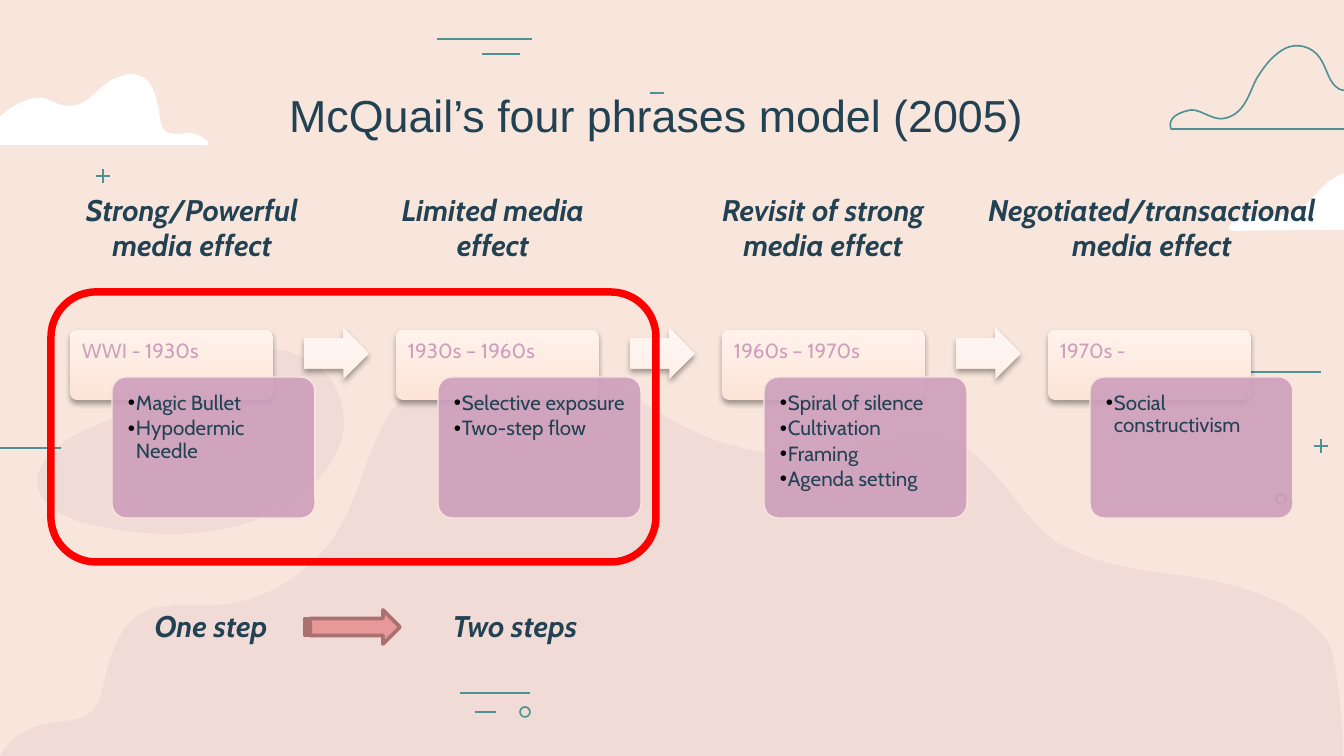
from dataclasses import dataclass

from lxml.etree import SubElement
from pptx import Presentation
from pptx.dml.color import RGBColor
from pptx.enum.shapes import MSO_CONNECTOR, MSO_SHAPE
from pptx.enum.text import MSO_ANCHOR, PP_ALIGN
from pptx.oxml.ns import qn
from pptx.util import Emu, Pt


@dataclass(frozen=True)
class Theme:
    paper: str = "F8E6DC"
    mauve: str = "CE9FBC"
    teal: str = "509195"
    ink: str = "224253"
    white: str = "FFFFFF"
    bullet: str = "000000"
    frame: str = "FF0000"
    step: str = "E79898"
    step_edge: str = "AB7070"
    card: tuple = ("FCE5D8", "FFF2EB")
    arrow: tuple = ("FDF0E8", "FFF7F3")
    body_font: str = "Cabin"
    title_font: str = "Arial"
    title_size: int = 24
    label_size: int = 16
    card_size: int = 11
    thin: float = 0.88
    thick: float = 1.32


T = Theme()
EMU_PER_PX = 914400 / 134.4
PITCH = 326

HILL = [(512, 345), (468, 345, 422, 370, 396, 405), (366, 444, 362, 495, 335, 535),
        (309, 575, 263, 603, 215, 605), (185, 605), (169, 605, 153, 606, 140, 614),
        (109, 634, 106, 683, 99, 700), (87, 737, 30, 704, 0, 756), (1343, 756),
        (1344, 731, 1336, 653, 1329, 644), (1304, 603, 1242, 586, 1199, 578),
        (1152, 570, 1107, 570, 1056, 542), (1015, 511, 992, 452, 945, 438),
        (938, 435, 930, 435, 922, 435), (895, 435, 868, 445, 841, 450),
        (827, 453, 812, 454, 796, 454), (759, 454, 724, 446, 691, 430),
        (638, 406, 594, 359, 536, 348), (528, 347, 520, 345, 512, 345)]
BLOB = [(259, 348), (247, 348, 234, 349, 219, 353), (187, 364, 167, 388, 138, 406),
        (117, 418, 91, 426, 70, 438), (48, 452, 31, 472, 39, 492),
        (47, 512, 77, 523, 103, 527), (124, 531, 145, 534, 168, 534),
        (199, 534, 230, 530, 258, 519), (297, 504, 328, 476, 340, 445),
        (347, 425, 344, 405, 336, 388), (323, 364, 296, 348, 259, 348)]
RIGHT_CLOUD = [(1344, 173), (1331, 179, 1324, 185, 1316, 194),
               (1310, 200, 1304, 208, 1294, 212), (1289, 215, 1281, 216, 1273, 216),
               (1253, 216), (1240, 216, 1215, 231, 1238, 231),
               (1273, 230, 1305, 230, 1337, 230), (1344, 230)]
LEFT_CLOUD = [(130, 74), (126, 74, 124, 75, 120, 77), (110, 79, 102, 87, 94, 94),
              (87, 101, 79, 106, 70, 106), (66, 106), (59, 105, 52, 101, 44, 98),
              (38, 98), (26, 98, 13, 106, 3, 114), (-8, 125, -19, 130, -34, 134),
              (-39, 137, -50, 138, -62, 138), (-67, 138, -74, 138, -81, 137),
              (-90, 134, -95, 129, -106, 129), (-121, 129, -129, 137, -137, 145),
              (206, 145), (214, 145, 202, 133, 188, 133), (179, 134),
              (175, 134, 171, 133, 168, 133), (160, 129, 160, 118, 159, 109),
              (156, 99, 155, 90, 149, 82), (144, 77, 137, 74, 130, 74)]
LINE_CLOUD = [(1434, 129), (1434, 117, 1411, 121, 1399, 121),
              (1395, 121, 1388, 121, 1387, 116), (1384, 110, 1387, 105, 1387, 98),
              (1386, 86, 1374, 83, 1364, 85), (1356, 87, 1347, 93, 1339, 89),
              (1328, 82, 1328, 70, 1320, 58), (1312, 46, 1297, 43, 1286, 48),
              (1274, 54, 1265, 65, 1257, 78), (1250, 90, 1246, 113, 1226, 118),
              (1214, 122, 1201, 109, 1191, 110), (1180, 112, 1167, 117, 1171, 129)]
DASHES = [(437, 39, 95), (482, 54, 38), (0, 448, 61), (1251, 372, 70),
          (460, 693, 70), (475, 712, 21)]
PHASES = [("WWI - 1930s", ["Magic Bullet", "Hypodermic Needle"]),
          ("1930s – 1960s", ["Selective exposure", "Two-step flow"]),
          ("1960s – 1970s", ["Spiral of silence", "Cultivation", "Framing",
                             "Agenda setting"]),
          ("1970s -", ["Social constructivism"])]
LABELS = [("Strong/Powerful media effect", 51, 194, 282),
          ("Limited media effect", 352, 194, 282),
          ("Revisit of strong media effect", 682, 194, 282),
          ("Negotiated/transactional media effect", 964, 194, 376),
          ("One step", 70, 575, 282), ("Two steps", 374, 575, 282)]


def px(n):
    return Emu(round(n * EMU_PER_PX))


def assign(obj, values):
    for name, value in values.items():
        setattr(obj, name, value)


def paint(shape, fill=None, alpha=100, line=None, width=0.75):
    shape.shadow.inherit = False
    if isinstance(fill, tuple):
        shape.fill.gradient()
        shape.fill.gradient_angle = 90
        for stop, color in zip(shape.fill.gradient_stops, fill):
            stop.color.rgb = RGBColor.from_string(color)
    elif fill:
        shape.fill.solid()
        shape.fill.fore_color.rgb = RGBColor.from_string(fill)
        if alpha < 100:
            clr = shape._element.spPr.find(qn("a:solidFill"))[0]
            SubElement(clr, qn("a:alpha"), val=str(alpha * 1000))
    else:
        shape.fill.background()
    if line:
        shape.line.color.rgb = RGBColor.from_string(line)
        shape.line.width = Pt(width)
    else:
        shape.line.fill.background()


def add_preset(s, kind, box, adjustments=(), **style):
    shape = s.shapes.add_shape(kind, *map(px, box))
    for i, value in enumerate(adjustments):
        shape.adjustments[i] = value
    paint(shape, **style)
    return shape


def add_shadow(shape):
    effects = shape._element.spPr.find(qn("a:effectLst"))
    shadow = SubElement(effects, qn("a:outerShdw"), blurRad=str(Pt(3.1)),
                        dist=str(Pt(1.8)), dir="5400000", rotWithShape="0")
    clr = SubElement(shadow, qn("a:srgbClr"), val="000000")
    SubElement(clr, qn("a:alpha"), val="35000")


def add_outline(s, segments, **style):
    anchors = [tuple(map(px, seg[-2:])) for seg in segments]
    builder = s.shapes.build_freeform(*anchors[0], scale=1.0)
    builder.add_line_segments(anchors[1:], close=True)
    shape = builder.convert_to_shape()
    lines = list(shape._element.spPr.iter(qn("a:lnTo")))
    for line, seg in zip(lines, segments[1:]):
        if len(seg) == 6:
            curve = SubElement(line.getparent(), qn("a:cubicBezTo"))
            for x, y in zip(seg[::2], seg[1::2]):
                SubElement(curve, qn("a:pt"), x=str(px(x) - shape.left),
                           y=str(px(y) - shape.top))
            line.getparent().replace(line, curve)
    paint(shape, **style)


def add_stroke(s, x1, y1, x2, y2, width):
    line = s.shapes.add_connector(MSO_CONNECTOR.STRAIGHT, *map(px, (x1, y1, x2, y2)))
    line.line.color.rgb = RGBColor.from_string(T.teal)
    line.line.width = Pt(width)
    SubElement(line._element.spPr, qn("a:effectLst"))


def add_plus(s, x, y):
    add_stroke(s, x, y - 7, x, y + 7, T.thin)
    add_stroke(s, x - 7, y, x + 7, y, T.thin)


def add_bullet(p):
    pPr = p._p.get_or_add_pPr()
    pPr.set("marL", str(px(8)))
    pPr.set("indent", str(px(-8)))
    clr = SubElement(pPr, qn("a:buClr"))
    SubElement(clr, qn("a:srgbClr"), val=T.bullet)
    SubElement(pPr, qn("a:buFont"), typeface=T.title_font)
    SubElement(pPr, qn("a:buChar"), char="•")


def add_text(s, lines, box, inset, font, color, para, anchor=MSO_ANCHOR.TOP, bullets=False):
    tf = s.shapes.add_textbox(*map(px, box)).text_frame
    assign(tf, {"word_wrap": True, "vertical_anchor": anchor})
    assign(tf, {f"margin_{side}": px(inset) for side in ("left", "right", "top", "bottom")})
    for i, text in enumerate(lines):
        p = tf.paragraphs[0] if i == 0 else tf.add_paragraph()
        if bullets:
            add_bullet(p)
        assign(p, para)
        r = p.add_run()
        r.text = text
        assign(r.font, font)
        r.font.color.rgb = RGBColor.from_string(color)


def add_label(s, text, box, font, anchor=MSO_ANCHOR.BOTTOM):
    add_text(s, [text], box, 13, font, T.ink, {"alignment": PP_ALIGN.CENTER}, anchor)


def add_scenery(s):
    for segments in (HILL, BLOB):
        add_outline(s, segments, fill=T.mauve, alpha=15)
    for segments in (RIGHT_CLOUD, LEFT_CLOUD):
        add_outline(s, segments, fill=T.white)
    add_outline(s, LINE_CLOUD, line=T.teal, width=T.thin)
    for x, y in ((1276, 494), (520, 707)):
        add_preset(s, MSO_SHAPE.OVAL, (x, y, 10, 10), line=T.teal, width=T.thin)
    for x, y, length in DASHES:
        add_stroke(s, x, y, x + length, y, T.thick)
    add_stroke(s, 650, 93, 664, 93, T.thin)
    for x, y in ((1321, 446), (103, 176)):
        add_plus(s, x, y)


def add_phase(s, i, period, theories):
    x = 70 + i * PITCH
    font = {"name": T.body_font, "size": Pt(T.card_size)}
    para = {"line_spacing": 0.9}
    head = add_preset(s, MSO_SHAPE.ROUNDED_RECTANGLE, (x, 330, 203, 70), [0.1], fill=T.card)
    add_shadow(head)
    add_text(s, [period], (x, 330, 203, 47), 12, font, T.mauve, para)
    add_preset(s, MSO_SHAPE.ROUNDED_RECTANGLE, (x + 42, 377, 203, 141), [0.1],
               fill=T.mauve, alpha=90, line=T.paper)
    add_text(s, theories, (x + 46, 381, 195, 133), 12, font, T.ink,
             {**para, "level": 1, "space_after": Pt(1.65)}, bullets=True)
    if i < len(PHASES) - 1:
        arrow = add_preset(s, MSO_SHAPE.RIGHT_ARROW, (x + 234, 328, 65, 51), [0.6, 0.5],
                           fill=T.arrow)
        add_shadow(arrow)


def main():
    prs = Presentation()
    assign(prs, {"slide_width": px(1344), "slide_height": px(756)})
    s = prs.slides.add_slide(prs.slide_layouts[6])
    s.background.fill.solid()
    s.background.fill.fore_color.rgb = RGBColor.from_string(T.paper)
    add_scenery(s)
    for i, (period, theories) in enumerate(PHASES):
        add_phase(s, i, period, theories)
    label_font = {"name": T.body_font, "size": Pt(T.label_size), "bold": True, "italic": True}
    for text, x, y, width in LABELS:
        add_label(s, text, (x, y, width, 82), label_font)
    add_label(s, "McQuail’s four phrases model (2005)", (212, 75, 888, 63),
              {"name": T.title_font, "size": Pt(T.title_size)}, MSO_ANCHOR.TOP)
    add_preset(s, MSO_SHAPE.ROUNDED_RECTANGLE, (51, 292, 605, 270), line=T.frame, width=4)
    add_preset(s, MSO_SHAPE.STRIPED_RIGHT_ARROW, (305, 610, 95, 34), fill=T.step,
               line=T.step_edge, width=2)
    prs.save("out.pptx")


if __name__ == "__main__":
    main()
